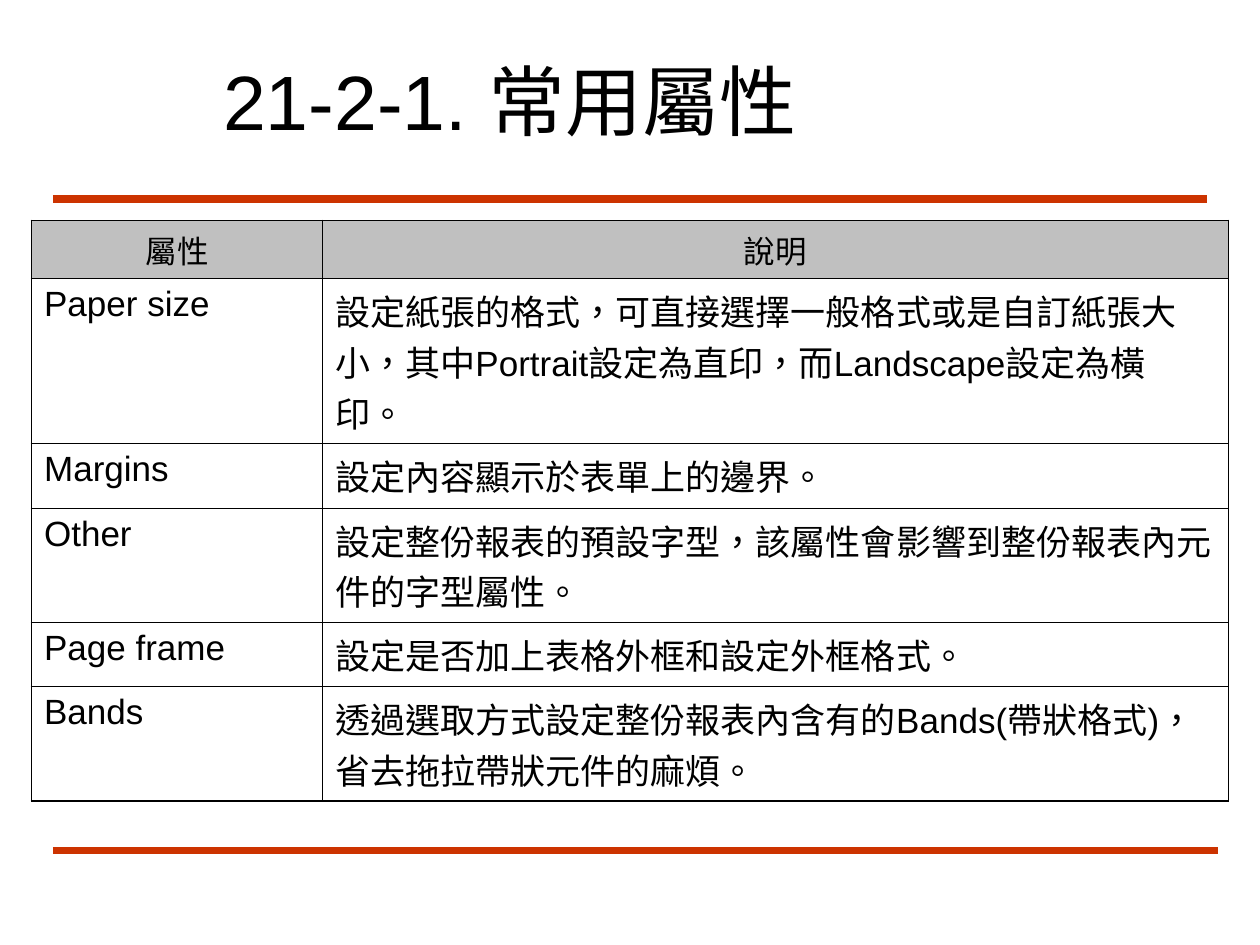
from pptx import Presentation
from pptx.dml.color import RGBColor
from pptx.enum.lang import MSO_LANGUAGE_ID
from pptx.enum.shapes import MSO_CONNECTOR
from pptx.enum.text import MSO_ANCHOR, MSO_AUTO_SIZE, PP_ALIGN
from pptx.oxml import parse_xml
from pptx.oxml.ns import nsdecls
from pptx.util import Inches, Pt

STRAIGHT = MSO_CONNECTOR.STRAIGHT
TAIWANESE = MSO_LANGUAGE_ID.TRADITIONAL_CHINESE
TOP, MIDDLE = MSO_ANCHOR.TOP, MSO_ANCHOR.MIDDLE
LEFT, CENTER = PP_ALIGN.LEFT, PP_ALIGN.CENTER
NO_AUTOFIT = MSO_AUTO_SIZE.NONE

BLACK = RGBColor(0x00, 0x00, 0x00)
RULE_RED = RGBColor(0xCC, 0x33, 0x00)
HEADER_GRAY = RGBColor(0xC0, 0xC0, 0xC0)
FONT = "Arial"
OUTER_BORDER, INNER_BORDER = Pt(1.08), Pt(0.45)

TITLE = "21-2-1. 常用屬性"
PROPERTIES = [
    ("屬性", "說明"),
    ("Paper size", "設定紙張的格式，可直接選擇一般格式或是自訂紙張大小，"
                   "其中Portrait設定為直印，而Landscape設定為橫印。"),
    ("Margins", "設定內容顯示於表單上的邊界。"),
    ("Other", "設定整份報表的預設字型，該屬性會影響到整份報表內元件的字型屬性。"),
    ("Page frame", "設定是否加上表格外框和設定外框格式。"),
    ("Bands", "透過選取方式設定整份報表內含有的Bands(帶狀格式)，省去拖拉帶狀元件的麻煩。"),
]
COLUMN_WIDTHS = [2.31, 7.19]
ROW_HEIGHTS = [0.4, 0.77, 0.51, 0.77, 0.51, 0.77]


def write_text(frame, text, size, align):
    """Write one run, keeping punctuation inside the right margin."""
    paragraph = frame.paragraphs[0]
    paragraph.alignment = align
    paragraph._p.get_or_add_pPr().set("hangingPunct", "0")
    run = paragraph.add_run()
    run.text = text
    run.font.name = FONT
    run.font.size = Pt(size)
    run.font.color.rgb = BLACK
    run.font.language_id = TAIWANESE


def add_rule(slide, right, y):
    rule = slide.shapes.add_connector(
        STRAIGHT, Inches(0.42), Inches(y), Inches(right), Inches(y))
    rule.line.color.rgb = RULE_RED
    rule.line.width = Pt(4.5)
    rule._element.spPr.append(parse_xml(f"<a:effectLst {nsdecls('a')}/>"))


def set_title(slide):
    title = slide.shapes.title
    title.left, title.top = Inches(1.67), Inches(0.33)
    title.width, title.height = Inches(7.58), Inches(0.92)
    frame = title.text_frame
    frame.word_wrap = True
    frame.auto_size = NO_AUTOFIT
    frame.vertical_anchor = MIDDLE
    write_text(frame, TITLE, 44, LEFT)


def set_borders(cell, outer_sides):
    """Draw all four borders, heavier on the sides at the table's edge."""
    properties = cell._tc.get_or_add_tcPr()
    for side in "LRTB":
        width = OUTER_BORDER if side in outer_sides else INNER_BORDER
        properties.append(parse_xml(
            f'<a:ln{side} {nsdecls("a")} w="{width}"><a:solidFill>'
            f'<a:srgbClr val="{BLACK}"/></a:solidFill></a:ln{side}>'))


def add_property_table(slide):
    frame = slide.shapes.add_table(
        len(PROPERTIES), len(COLUMN_WIDTHS), Inches(0.25), Inches(1.75),
        Inches(sum(COLUMN_WIDTHS)), Inches(sum(ROW_HEIGHTS)))
    table = frame.table
    table.first_row = False
    table.horz_banding = False
    for column, width in zip(table.columns, COLUMN_WIDTHS):
        column.width = Inches(width)
    last_row = len(PROPERTIES) - 1
    for i, (row, height) in enumerate(zip(table.rows, ROW_HEIGHTS)):
        row.height = Inches(height)
        is_header = i == 0
        for j, text in enumerate(PROPERTIES[i]):
            cell = table.cell(i, j)
            edges = "LR"[j] + ("T" if is_header else "") + ("B" if i == last_row else "")
            set_borders(cell, edges)
            cell.vertical_anchor = TOP
            if is_header:
                cell.fill.solid()
                cell.fill.fore_color.rgb = HEADER_GRAY
                write_text(cell.text_frame, text, 18, CENTER)
            else:
                cell.fill.background()
                write_text(cell.text_frame, text, 20, LEFT)


def main():
    presentation = Presentation()
    presentation.slide_width = Inches(10)
    presentation.slide_height = Inches(7.5)
    title_only = presentation.slide_layouts[5]
    slide = presentation.slides.add_slide(title_only)
    add_rule(slide, right=9.58, y=1.58)
    add_rule(slide, right=9.67, y=6.75)
    set_title(slide)
    add_property_table(slide)
    presentation.save("out.pptx")


if __name__ == "__main__":
    main()
